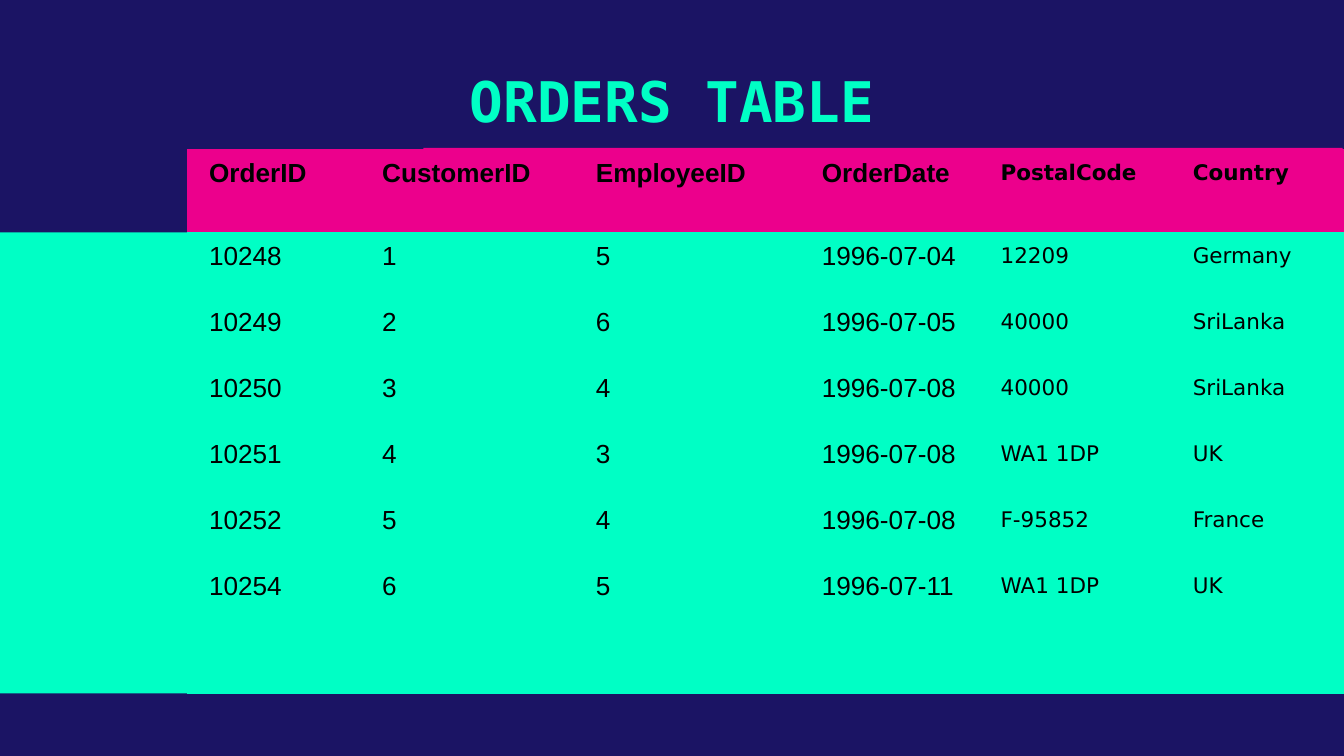
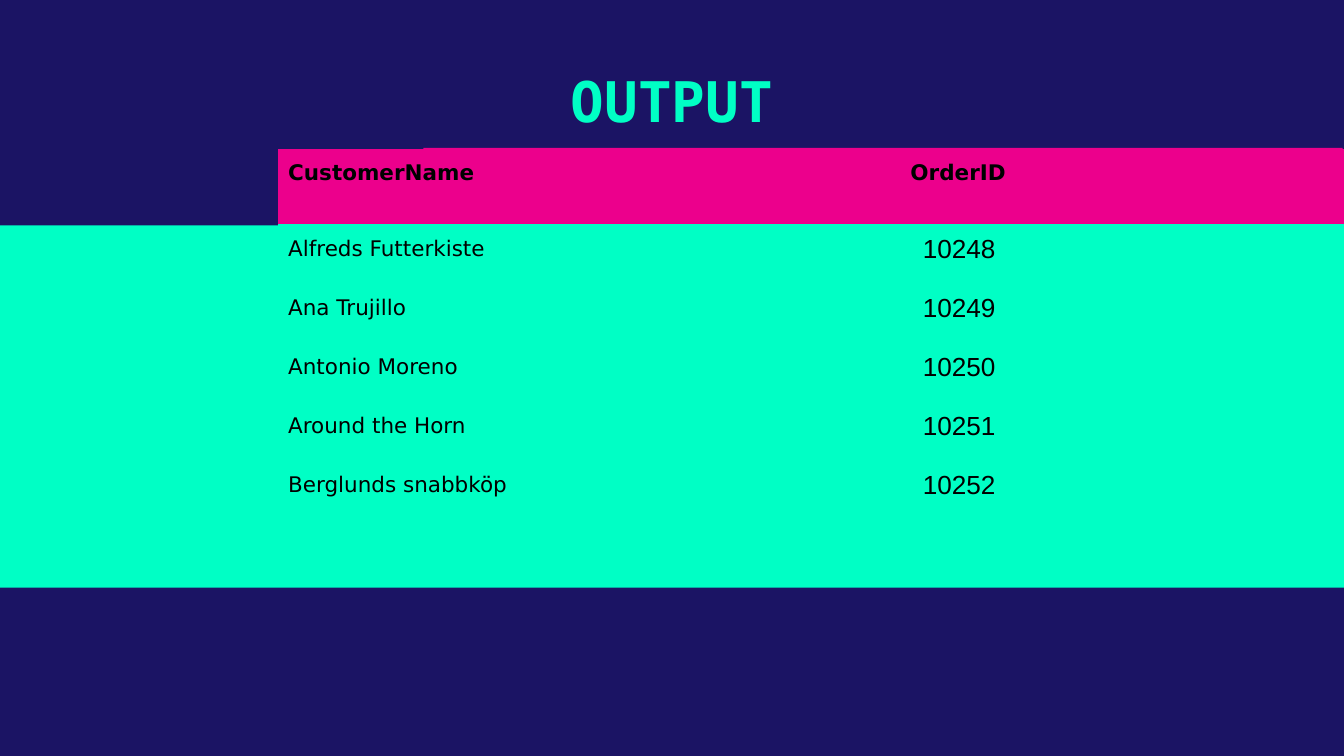
from dataclasses import dataclass
from pptx import Presentation
from pptx.dml.color import RGBColor as RGB
from pptx.enum.shapes import MSO_SHAPE as SHAPE
from pptx.enum.text import MSO_ANCHOR as ANCHOR, PP_ALIGN as ALIGN
from pptx.oxml.ns import qn
from pptx.util import Pt


@dataclass(frozen=True)
class TextStyle:
    """Font, size, left inset and line spacing of one kind of text."""
    font: str
    size: float
    inset: float = 5.4
    spacing: float = 1.0


@dataclass(frozen=True)
class Theme:
    """Colours and type styles shared by the slides."""
    navy: RGB = RGB(0x1B, 0x14, 0x64)
    mint: RGB = RGB(0x00, 0xFF, 0xC5)
    pink: RGB = RGB(0xEC, 0x00, 0x8C)
    black: RGB = RGB(0, 0, 0)
    title: TextStyle = TextStyle("DejaVu Sans Mono", 30, 7.2)
    key: TextStyle = TextStyle("Arial", 14, 12)
    value: TextStyle = TextStyle("Arial", 14)
    label: TextStyle = TextStyle("DejaVu Sans", 11.5, spacing=1.07)
    pad: float = 5.4
    no_grid: str = "{2D5ABB26-0587-4C30-8999-92F81FD0307C}"


@dataclass(frozen=True)
class Column:
    """Heading, width and text styles of one table column."""
    name: str
    width: float
    body: TextStyle
    head: TextStyle


T = Theme()
WIDTH, HEIGHT = 720, 405
TITLE_BOX = (100.8, 27.4, 518.4, 52.6)
TABLE_ORIGIN = (29.5, 79.9)

ORDER_COLUMNS = [
    Column("OrderID", 99.4, T.key, T.key),
    Column("CustomerID", 114.5, T.value, T.value),
    Column("EmployeeID", 121, T.value, T.value),
    Column("OrderDate", 95.8, T.value, T.value),
    Column("PostalCode", 103, T.label, T.label),
    Column("Country", 86.4, T.label, T.label),
]
ORDERS = [
    ("10248", "1", "5", "1996-07-04", "12209", "Germany"),
    ("10249", "2", "6", "1996-07-05", "40000", "SriLanka"),
    ("10250", "3", "4", "1996-07-08", "40000", "SriLanka"),
    ("10251", "4", "3", "1996-07-08", "WA1 1DP", "UK"),
    ("10252", "5", "4", "1996-07-08", "F-95852", "France"),
    ("10254", "6", "5", "1996-07-11", "WA1 1DP", "UK"),
]
OUTPUT_COLUMNS = [
    Column("CustomerName", 333.4, T.label, T.label),
    Column("OrderID", 237.6, T.key, T.label),
]
OUTPUT = [
    ("Alfreds Futterkiste", "10248"),
    ("Ana Trujillo", "10249"),
    ("Antonio Moreno", "10250"),
    ("Around the Horn", "10251"),
    ("Berglunds snabbköp", "10252"),
]


def add_run(p, text, style, color, bold=False):
    """Add one styled run to a paragraph."""
    p.line_spacing = style.spacing
    r = p.add_run()
    r.text = text
    r.font.name, r.font.size, r.font.bold = style.font, Pt(style.size), bold
    r.font.color.rgb = color


def add_band(s, box, color):
    """Draw a plain colour band in the box."""
    sp = s.shapes.add_shape(SHAPE.RECTANGLE, *map(Pt, box))
    sp.shadow.inherit = False
    sp.fill.solid()
    sp.fill.fore_color.rgb = color
    sp.line.fill.background()


def add_title(s, box, text):
    """Write the centred slide title in the box."""
    tf = s.shapes.add_textbox(*map(Pt, box)).text_frame
    tf.word_wrap = True
    tf.vertical_anchor = ANCHOR.MIDDLE
    tf.margin_left = tf.margin_right = Pt(T.title.inset)
    tf.margin_top = tf.margin_bottom = Pt(T.title.inset)
    p = tf.paragraphs[0]
    p.alignment = ALIGN.CENTER
    add_run(p, text, T.title, T.mint, True)


def fill_cell(cell, text, style, color, bold):
    """Colour one cell and write its text, if any."""
    cell.fill.solid()
    cell.fill.fore_color.rgb = color
    cell.margin_left = Pt(style.inset)
    cell.margin_right = cell.margin_top = cell.margin_bottom = Pt(T.pad)
    if text:
        add_run(cell.text_frame.paragraphs[0], text, style, T.black, bold)


def add_records(s, origin, indent, columns, records, heights):
    """Build a table with a clear lead column, a heading row and an empty last row."""
    rows = [[c.name for c in columns], *records, [""] * len(columns)]
    widths = [indent] + [c.width for c in columns]
    size = (sum(widths), sum(heights))
    frame = s.shapes.add_table(len(rows), len(widths), *map(Pt, origin + size))
    table = frame.table
    table.first_row = table.horz_banding = False
    frame._element.find(".//" + qn("a:tableStyleId")).text = T.no_grid
    for col, width in zip(table.columns, widths):
        col.width = Pt(width)
    for i, (row, height) in enumerate(zip(rows, heights)):
        table.rows[i].height = Pt(height)
        table.cell(i, 0).fill.background()
        head = i == 0
        for j, (text, c) in enumerate(zip(row, columns), 1):
            fill_cell(table.cell(i, j), text, c.head if head else c.body,
                      T.pink if head else T.mint, head)


def add_table_slide(prs, title, mint_box, pink_height, indent, columns, records, heights):
    """Add a slide with two bands, a title and a table over them."""
    s = prs.slides.add_slide(prs.slide_layouts[6])
    s.background.fill.solid()
    s.background.fill.fore_color.rgb = T.navy
    add_band(s, mint_box, T.mint)
    add_band(s, (226.8, 79.2, 492.5, pink_height), T.pink)
    add_title(s, TITLE_BOX, title)
    add_records(s, TABLE_ORIGIN, indent, columns, records, heights)


def main():
    """Build and save the deck."""
    prs = Presentation()
    prs.slide_width, prs.slide_height = Pt(WIDTH), Pt(HEIGHT)
    add_table_slide(prs, "ORDERS TABLE", (0, 124.5, 594.7, 247), 44.6, 70.5,
                    ORDER_COLUMNS, ORDERS, [44.5] + [35.35] * 7)
    add_table_slide(prs, "OUTPUT", (0, 120.7, WIDTH, 194.1), 76.3, 119.5,
                    OUTPUT_COLUMNS, OUTPUT, [40.3] + [31.7] * 5 + [36.1])
    prs.save("out.pptx")


if __name__ == "__main__":
    main()
